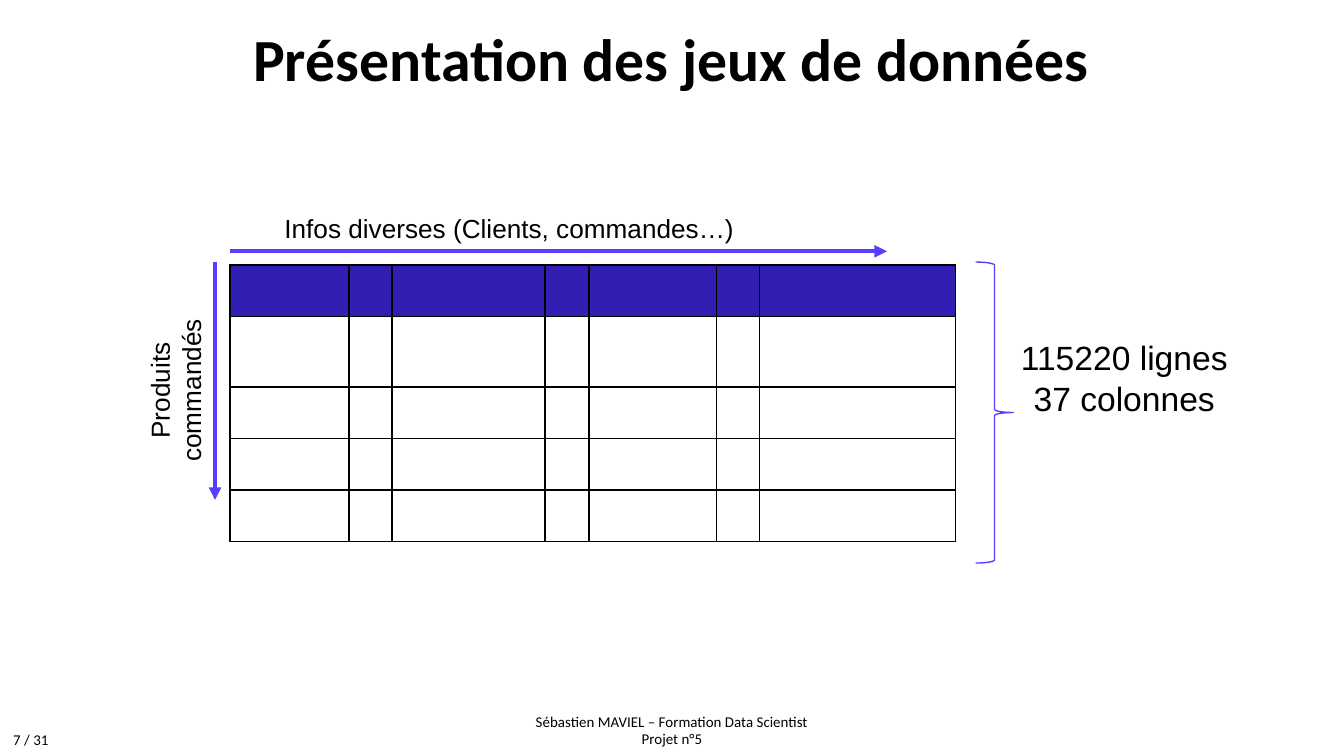
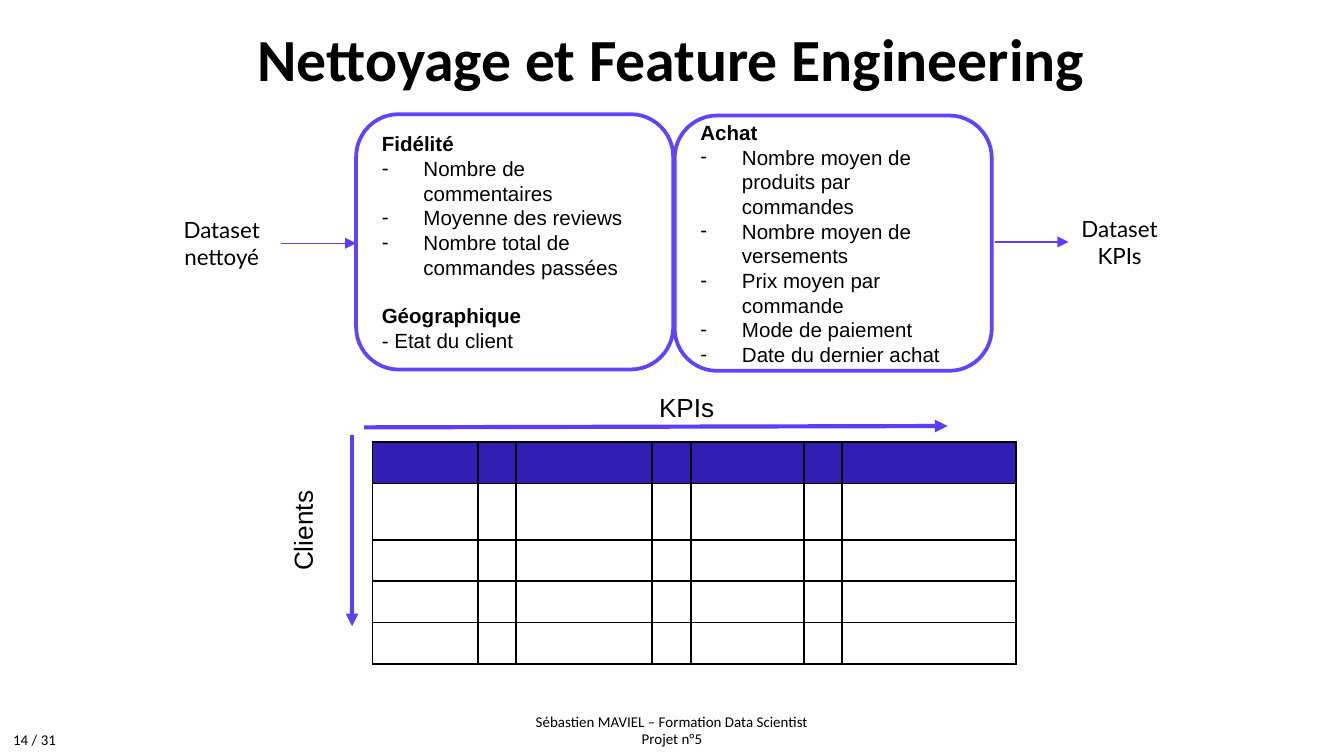
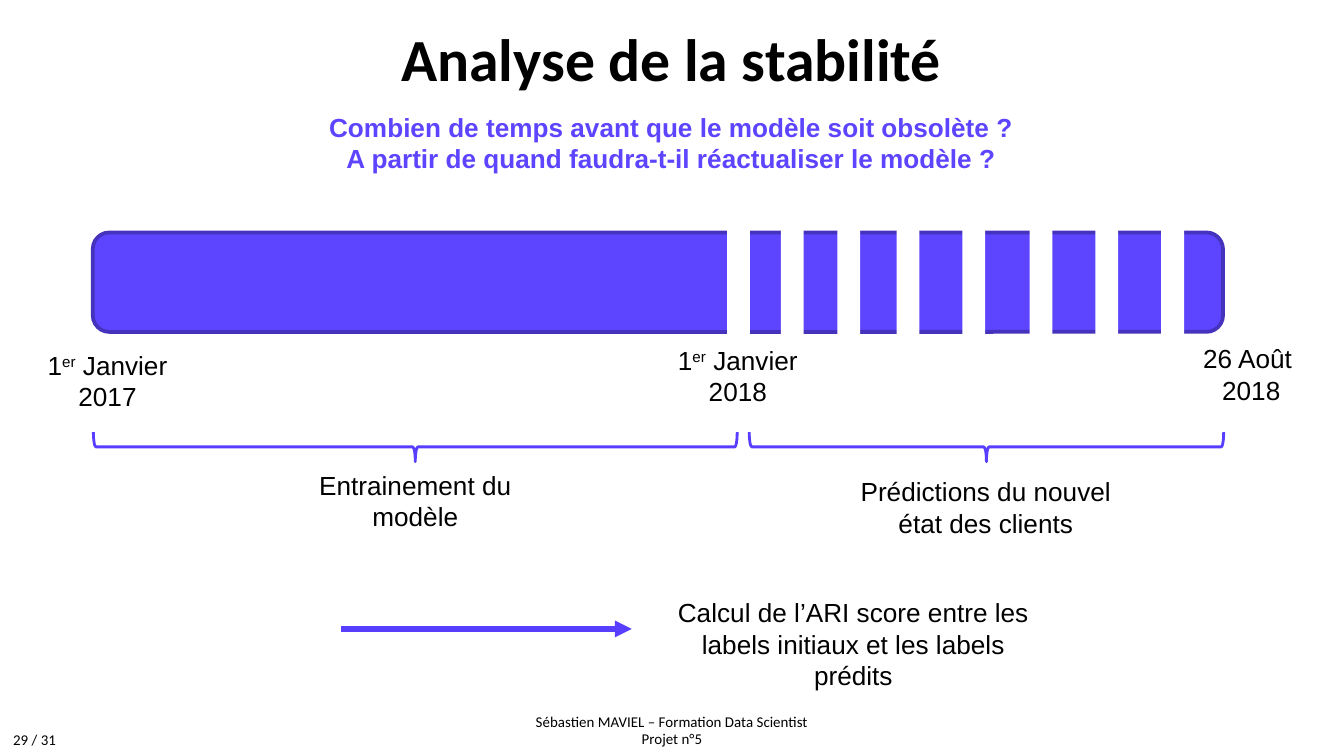
from dataclasses import dataclass

from lxml import etree
from pptx import Presentation
from pptx.dml.color import RGBColor
from pptx.enum import shapes, text
from pptx.oxml import ns
from pptx.util import Inches, Pt


@dataclass(frozen=True)
class Theme:
    ink: str = "000000"
    paper: str = "FFFFFF"
    accent: str = "5D44FF"
    stroke: str = "583EFE"
    edge: str = "4532BD"
    header: str = "311EB3"
    title_font: str = "Calibri"
    body_font: str = "Arial"
    step_font: str = "Lato"
    title_size: int = 32
    figure_size: int = 18
    label_size: int = 14
    step_size: int = 12
    list_size: int = 11
    footer_size: int = 8


THEME = Theme()
SHAPE = shapes.MSO_SHAPE
ALIGN = text.PP_ALIGN
PAGE_COUNT = 31
COLUMN_WIDTHS = (0.89, 0.32, 1.14, 0.33, 0.95, 0.32, 1.46)
ROW_HEIGHTS = (0.38, 0.52, 0.38, 0.38, 0.38)


def color(code):
    return RGBColor.from_string(code)


def add_element(parent, tag, **attributes):
    return etree.SubElement(parent, ns.qn(tag), attributes)


def add_solid_fill(parent, code):
    add_element(add_element(parent, "a:solidFill"), "a:srgbClr", val=code)


def add_span(para, words, size, font, bold=False, code=THEME.ink, raised=False):
    span = para.add_run()
    span.text = words
    span.font.size = Pt(size)
    span.font.name = font
    span.font.bold = bold
    span.font.color.rgb = color(code)
    if raised:
        span.font._element.set("baseline", "30000")


def next_paragraph(frame):
    first = frame.paragraphs[0]
    return frame.add_paragraph() if first.runs else first


def add_label(page, place, lines, size=THEME.label_size, font=THEME.body_font,
              align=ALIGN.CENTER, bold=False, code=THEME.ink, rotation=0):
    box = page.shapes.add_textbox(*map(Inches, place))
    box.rotation = rotation
    frame = box.text_frame
    frame.word_wrap = True
    frame.auto_size = text.MSO_AUTO_SIZE.SHAPE_TO_FIT_TEXT
    for line in lines:
        para = next_paragraph(frame)
        para.alignment = align
        for index, words in enumerate(line.split("^")):
            add_span(para, words, size, font, bold, code, raised=index % 2 == 1)


def add_figure(page, kind, place, fill=None, line=None, weight=1, rotation=0):
    figure = page.shapes.add_shape(kind, *map(Inches, place))
    figure.shadow.inherit = False
    figure.rotation = rotation
    if fill:
        figure.fill.solid()
        figure.fill.fore_color.rgb = color(fill)
    else:
        figure.fill.background()
    if line:
        figure.line.color.rgb = color(line)
        figure.line.width = Pt(weight)
    else:
        figure.line.fill.background()
    return figure


def add_arrow(page, start, end, weight):
    arrow = page.shapes.add_connector(
        shapes.MSO_CONNECTOR.STRAIGHT, *map(Inches, start + end))
    arrow.line.color.rgb = color(THEME.stroke)
    arrow.line.width = Pt(weight)
    add_element(arrow.line._get_or_add_ln(), "a:tailEnd", type="triangle")
    add_element(arrow._element.spPr, "a:effectLst")


def add_bullet(para):
    properties = para._p.get_or_add_pPr()
    properties.set("marL", str(Inches(0.31)))
    properties.set("indent", str(-Inches(0.31)))
    add_element(add_element(properties, "a:buClr"), "a:srgbClr", val=THEME.ink)
    add_element(properties, "a:buFont", typeface=THEME.body_font)
    add_element(properties, "a:buChar", char="-")


def add_card(page, left, top, sections):
    card = add_figure(page, SHAPE.ROUNDED_RECTANGLE, (left, top, 2.36, 1.9),
                      THEME.paper, THEME.accent, 2)
    frame = card.text_frame
    frame.word_wrap = True
    frame.vertical_anchor = text.MSO_ANCHOR.MIDDLE
    for index, (heading, items, bulleted) in enumerate(sections):
        para = next_paragraph(frame)
        para.alignment = ALIGN.LEFT
        if index:
            para.space_before = Pt(THEME.list_size * 1.15)
        add_span(para, heading, THEME.list_size, THEME.body_font, bold=True)
        for item in items:
            para = frame.add_paragraph()
            para.alignment = ALIGN.LEFT
            if bulleted:
                add_bullet(para)
            add_span(para, item, THEME.list_size, THEME.body_font)


def format_cell(cell, fill):
    properties = cell._tc.get_or_add_tcPr()
    for side in ("a:lnL", "a:lnR", "a:lnT", "a:lnB"):
        add_solid_fill(add_element(properties, side, w=str(Pt(1))), THEME.ink)
    cell.fill.solid()
    cell.fill.fore_color.rgb = color(fill)
    ending = cell.text_frame.paragraphs[0]._p.get_or_add_endParaRPr()
    ending.set("sz", str(THEME.footer_size * 100))


def add_data_grid(page, left, top, width, height):
    table = page.shapes.add_table(
        len(ROW_HEIGHTS), len(COLUMN_WIDTHS),
        *map(Inches, (left, top, width, height))).table
    table.first_row = False
    table.horz_banding = False
    for column, share in zip(table.columns, COLUMN_WIDTHS):
        column.width = Inches(width * share / sum(COLUMN_WIDTHS))
    for index, (row, share) in enumerate(zip(table.rows, ROW_HEIGHTS)):
        row.height = Inches(height * share / sum(ROW_HEIGHTS))
        for cell in row.cells:
            format_cell(cell, THEME.paper if index else THEME.header)


def add_page(deck, title, number):
    page = deck.slides.add_slide(deck.slide_layouts[5])
    page.background.fill.solid()
    page.background.fill.fore_color.rgb = color(THEME.paper)
    add_label(page, (3.21, 5.25, 3.58, 0.37),
              ["Sébastien MAVIEL – Formation Data Scientist", "Projet n°5"],
              THEME.footer_size, THEME.title_font)
    add_label(page, (0, 5.39, 0.67, 0.24), [f"{number} / {PAGE_COUNT}"],
              THEME.footer_size, THEME.title_font, ALIGN.LEFT)
    heading = page.shapes.title
    heading.left, heading.top, heading.width, heading.height = map(
        Inches, (0.79, 0.16, 8.41, 0.63))
    frame = heading.text_frame
    frame.auto_size = text.MSO_AUTO_SIZE.NONE
    frame.vertical_anchor = text.MSO_ANCHOR.MIDDLE
    frame.margin_top = frame.margin_bottom = Inches(0.1)
    frame.margin_left = frame.margin_right = Inches(0.1)
    para = frame.paragraphs[0]
    para.alignment = ALIGN.CENTER
    para.line_spacing = 0.8
    add_span(para, title, THEME.title_size, THEME.title_font, bold=True)
    return page


def build_datasets(deck):
    page = add_page(deck, "Présentation des jeux de données", 7)
    add_arrow(page, (1.6, 1.95), (1.6, 3.72), 2.25)
    add_arrow(page, (1.71, 1.87), (6.6, 1.87), 2.25)
    add_label(page, (0.35, 2.62, 1.91, 0.57), ["Produits commandés"], rotation=270)
    add_label(page, (1.94, 1.53, 3.7, 0.34), ["Infos diverses (Clients, commandes…)"])
    add_data_grid(page, 1.71, 1.97, 5.4, 2.06)
    add_figure(page, SHAPE.RIGHT_BRACE, (7.26, 1.95, 0.28, 2.24),
               line=THEME.stroke, weight=0.75)
    add_label(page, (7.26, 2.46, 2.21, 0.71), ["115220 lignes", "37 colonnes"],
              THEME.figure_size)


def build_features(deck):
    page = add_page(deck, "Nettoyage et Feature Engineering", 14)
    for left, top, words in ((1.21, 1.56, "Dataset nettoyé"),
                             (7.89, 1.55, "Dataset KPIs")):
        add_label(page, (left, top, 0.88, 0.5), [words],
                  THEME.step_size, THEME.step_font)
    add_arrow(page, (2.09, 1.81), (2.65, 1.81), 0.75)
    add_card(page, 2.65, 0.85, [
        ("Fidélité", ["Nombre de commentaires ", "Moyenne des reviews",
                      "Nombre total de commandes passées"], True),
        ("Géographique", ["- Etat du client"], False),
    ])
    add_card(page, 5.02, 0.86, [
        ("Achat", ["Nombre moyen de produits par commandes",
                   "Nombre moyen de versements", "Prix moyen par commande",
                   "Mode de paiement", "Date du dernier achat"], True),
    ])
    add_arrow(page, (7.4, 1.8), (7.95, 1.8), 0.75)
    add_arrow(page, (2.62, 3.24), (2.62, 4.66), 2.25)
    add_arrow(page, (2.71, 3.18), (7.05, 3.17), 2.25)
    add_label(page, (1.49, 3.78, 1.53, 0.34), ["Clients"], rotation=270)
    add_label(page, (3.23, 2.86, 3.76, 0.34), ["KPIs"])
    add_data_grid(page, 2.77, 3.29, 4.79, 1.65)


def build_stability(deck):
    page = add_page(deck, "Analyse de la stabilité", 29)
    add_label(page, (2.24, 0.78, 5.51, 0.57),
              ["Combien de temps avant que le modèle soit obsolète ?",
               "A partir de quand faudra-t-il réactualiser le modèle ?"],
              bold=True, code=THEME.accent)
    add_figure(page, SHAPE.ROUNDED_RECTANGLE, (0.69, 1.73, 8.41, 0.74),
               THEME.accent, THEME.edge, 2)
    for left in (4.98, 5.38, 5.8, 6.24, 6.73, 7.23, 7.72, 8.21):
        add_figure(page, SHAPE.RECTANGLE, (left, 2.03, 1.03, 0.17),
                   THEME.paper, rotation=90)
    for place in ((2.98, 0.93, 0.22, 4.79), (7.23, 1.56, 0.22, 3.53)):
        add_figure(page, SHAPE.LEFT_BRACE, place, line=THEME.stroke,
                   weight=1.5, rotation=270)
    for left, top, lines in ((0.11, 2.55, ["1^er^ Janvier 2017"]),
                             (4.8, 2.51, ["1^er^ Janvier 2018"]),
                             (8.62, 2.5, ["26 Août ", "2018"])):
        add_label(page, (left, top, 1.38, 0.57), lines)
    add_label(page, (2.18, 3.44, 1.82, 0.57), ["Entrainement du modèle"])
    add_label(page, (6.14, 3.49, 2.39, 0.57),
              ["Prédictions du nouvel état des clients"])
    add_arrow(page, (2.54, 4.68), (4.7, 4.68), 3)
    add_label(page, (4.85, 4.39, 3, 0.81),
              ["Calcul de l’ARI score entre les labels initiaux et les labels prédits"])


def main():
    deck = Presentation()
    deck.slide_width = Inches(10)
    deck.slide_height = deck.slide_width * 9 // 16
    build_datasets(deck)
    build_features(deck)
    build_stability(deck)
    deck.save("out.pptx")


main()
